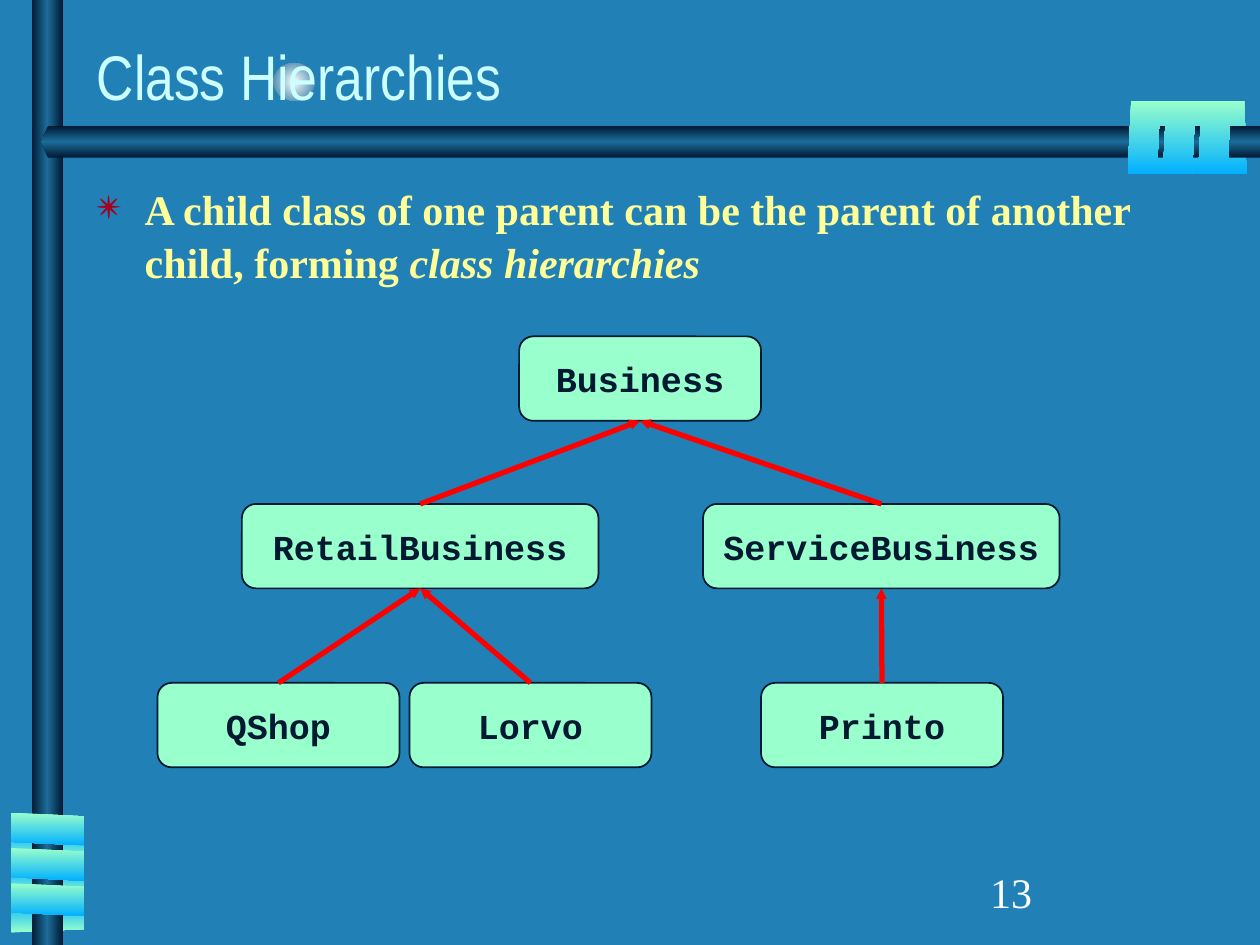
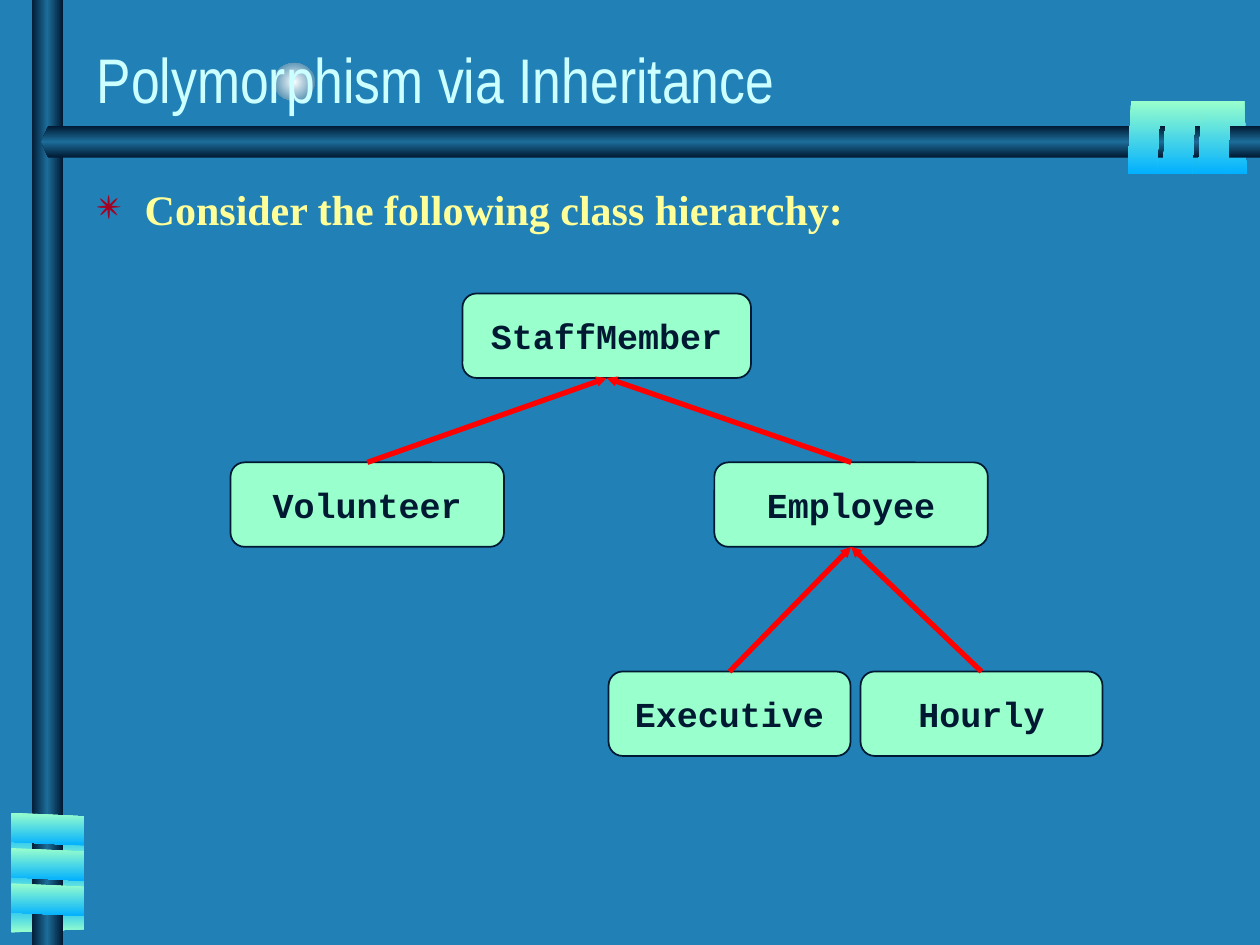
from lxml.etree import SubElement
from pptx import Presentation
from pptx.dml.color import RGBColor
from pptx.enum.shapes import MSO_CONNECTOR, MSO_SHAPE
from pptx.enum.text import MSO_ANCHOR, PP_ALIGN
from pptx.oxml.ns import qn
from pptx.util import Inches, Pt

BLUE, NAVY, STEEL = "2181B7", "001932", "1C6D9A"
MINT, SKY, RED = "99FFCC", "01B0FF", "FF0000"
PIPE = [(0, NAVY), (50, STEEL), (100, NAVY)]
FADE = [(0, MINT), (100, SKY)]
RISE = [(0, SKY), (100, MINT)]
GLOW = [(0, "FEFFFF"), (100, STEEL)]

TITLE = {"name": "Arial Narrow", "size": Pt(36), "color": "CCFFFF"}
BODY = {"name": "Times New Roman", "size": Pt(24), "color": "FFFF99", "bold": True}
PAGE = {"name": "Times New Roman", "size": Pt(24), "color": "FFFFFF"}
LABEL = {"name": "Courier New", "size": Pt(20), "color": NAVY, "bold": True}
TALL = 0.67

HEIRS = {
    "title": "Class Hierarchies",
    "anchor": MSO_ANCHOR.MIDDLE,
    "body": [("A child class of one parent can be the parent of another child, forming ", {}),
             ("class hierarchies", {"italic": True})],
    "page": "13",
    "nodes": [
        ("Business", 4.12, 2.67, 1.92, None),
        ("RetailBusiness", 1.92, 4, 2.83, "Business"),
        ("ServiceBusiness", 5.58, 4, 2.83, "Business"),
        ("QShop", 1.25, 5.42, 1.92, "RetailBusiness"),
        ("Lorvo", 3.25, 5.42, 1.92, "RetailBusiness"),
        ("Printo", 6.04, 5.42, 1.92, "ServiceBusiness"),
    ],
}
STAFF = {
    "title": "Polymorphism via Inheritance",
    "anchor": MSO_ANCHOR.BOTTOM,
    "body": [("Consider the following class hierarchy:", {})],
    "page": None,
    "nodes": [
        ("StaffMember", 3.67, 2.33, 2.29, None),
        ("Volunteer", 1.83, 3.67, 2.17, "StaffMember"),
        ("Employee", 5.67, 3.67, 2.17, "StaffMember"),
        ("Executive", 4.83, 5.33, 1.92, "Employee"),
        ("Hourly", 6.83, 5.33, 1.92, "Employee"),
    ],
}


def paint(target, code):
    target.rgb = RGBColor.from_string(code)


def style(font, form):
    for key, value in form.items():
        if key == "color":
            paint(font.color, value)
        else:
            setattr(font, key, value)


def add_shape(slide, kind, spot):
    shape = slide.shapes.add_shape(kind, *map(Inches, spot))
    shape.shadow.inherit = False
    shape.line.fill.background()
    return shape


def shade(shape, stops, angle=None):
    shape.fill.gradient()
    grad = shape._element.spPr.find(qn("a:gradFill"))
    for child in list(grad):
        grad.remove(child)
    grad.set("rotWithShape", "1")
    group = SubElement(grad, qn("a:gsLst"))
    for place, code in stops:
        stop = SubElement(group, qn("a:gs"), pos=str(place * 1000))
        SubElement(stop, qn("a:srgbClr"), val=code)
    if angle is None:
        ring = SubElement(grad, qn("a:path"), path="circle")
        SubElement(ring, qn("a:fillToRect"), l="50000", t="50000", r="50000", b="50000")
    else:
        SubElement(grad, qn("a:lin"), ang=str(angle * 60000), scaled="0")


def flip(shape):
    shape._element.spPr.find(qn("a:xfrm")).set("flipH", "1")


def add_teeth(slide, left, top, wide, step, turn, stops, back):
    upright = turn in (0, 180)
    for i in range(3):
        x, y = (left + i * step, top) if upright else (left, top + i * step)
        tooth = add_shape(slide, MSO_SHAPE.PARALLELOGRAM, (x, y, wide, 0.58))
        tooth.adjustments[0] = 0.11
        tooth.rotation = turn
        shade(tooth, stops, 90 if upright else 180)
        if back:
            flip(tooth)


def add_frame(slide):
    slide.background.fill.solid()
    paint(slide.background.fill.fore_color, BLUE)
    shade(add_shape(slide, MSO_SHAPE.OVAL, (2.17, 0.5, 0.33, 0.3)), GLOW)
    add_teeth(slide, 9.66, 0.8, 0.24, -0.27, 180, RISE, True)
    add_teeth(slide, 0.26, 6.43, 0.24, 0.28, 90, RISE, True)
    shade(add_shape(slide, MSO_SHAPE.RECTANGLE, (0.25, 0, 0.25, 7.5)), PIPE, 180)
    beam = add_shape(slide, MSO_SHAPE.PENTAGON, (0.33, 1, 9.67, 0.25))
    beam.adjustments[0] = 0.21
    shade(beam, PIPE, 90)
    flip(beam)
    add_teeth(slide, 0.25, 6.29, 0.26, 0.28, 270, FADE, False)
    add_teeth(slide, 9.51, 0.8, 0.26, -0.28, 0, FADE, False)


def add_text(slide, spot, runs, form, anchor=MSO_ANCHOR.TOP, star=False):
    frame = slide.shapes.add_textbox(*map(Inches, spot)).text_frame
    frame.word_wrap = True
    frame.vertical_anchor = anchor
    para = frame.paragraphs[0]
    if star:
        add_star(para)
    for text, extra in runs:
        run = para.add_run()
        run.text = text
        style(run.font, form | extra)


def add_star(para):
    para.line_spacing = 1.05
    props = para._p.get_or_add_pPr()
    props.set("marL", str(Inches(0.38)))
    props.set("indent", str(Inches(-0.38)))
    tint = SubElement(props, qn("a:buClr"))
    SubElement(tint, qn("a:srgbClr"), val="A50021")
    SubElement(props, qn("a:buChar"), char="✴")


def add_node(slide, name, left, top, wide):
    node = add_shape(slide, MSO_SHAPE.FLOWCHART_ALTERNATE_PROCESS, (left, top, wide, TALL))
    node.fill.solid()
    paint(node.fill.fore_color, MINT)
    paint(node.line.color, NAVY)
    node.line.width = Pt(1)
    frame = node.text_frame
    frame.word_wrap = True
    frame.vertical_anchor = MSO_ANCHOR.MIDDLE
    para = frame.paragraphs[0]
    para.alignment = PP_ALIGN.CENTER
    run = para.add_run()
    run.text = name
    style(run.font, LABEL)
    return node


def add_arrow(slide, child, parent):
    arrow = slide.shapes.add_connector(MSO_CONNECTOR.STRAIGHT, 0, 0, 0, 0)
    arrow.begin_connect(child, 0)
    arrow.end_connect(parent, 2)
    paint(arrow.line.color, RED)
    arrow.line.width = Pt(3)
    SubElement(arrow.line._get_or_add_ln(), qn("a:tailEnd"), type="triangle", w="sm", len="sm")
    SubElement(arrow._element.spPr, qn("a:effectLst"))


def add_tree(slide, nodes):
    made = {}
    for name, left, top, wide, parent in nodes:
        made[name] = add_node(slide, name, left, top, wide)
    for name, *_, parent in nodes:
        if parent:
            add_arrow(slide, made[name], made[parent])


def add_slide(deck, data):
    slide = deck.slides.add_slide(deck.slide_layouts[6])
    add_frame(slide)
    if data["page"]:
        add_text(slide, (7.76, 6.83, 2.08, 0.5), [(data["page"], {})], PAGE)
    add_text(slide, (0.67, 0.22, 8.3, 0.75), [(data["title"], {})], TITLE, data["anchor"])
    add_text(slide, (0.67, 1.39, 9.08, 5.36), data["body"], BODY, star=True)
    add_tree(slide, data["nodes"])


def main():
    deck = Presentation()
    deck.slide_width, deck.slide_height = Inches(10), Inches(7.5)
    for data in (HEIRS, STAFF):
        add_slide(deck, data)
    deck.save("out.pptx")


if __name__ == "__main__":
    main()
